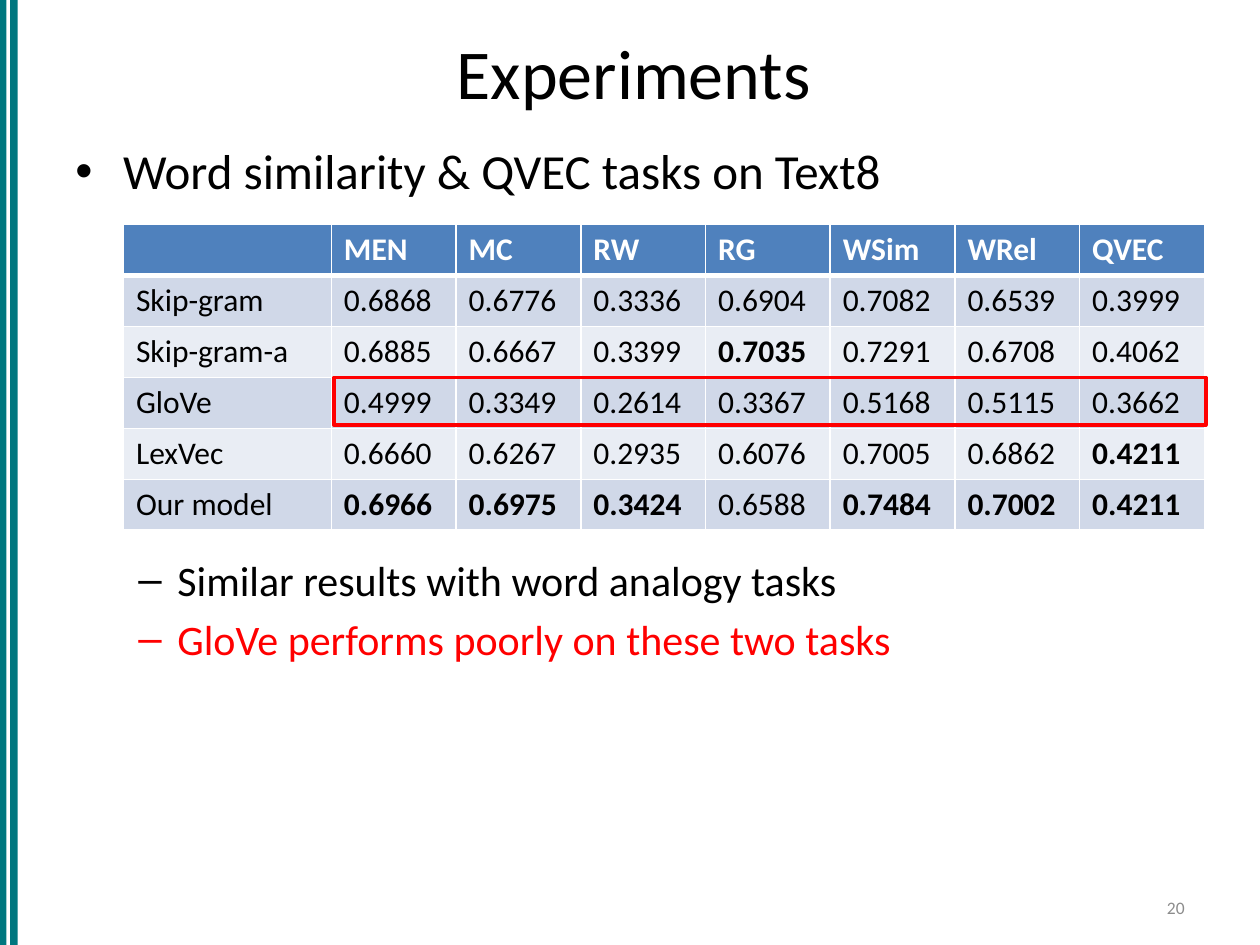
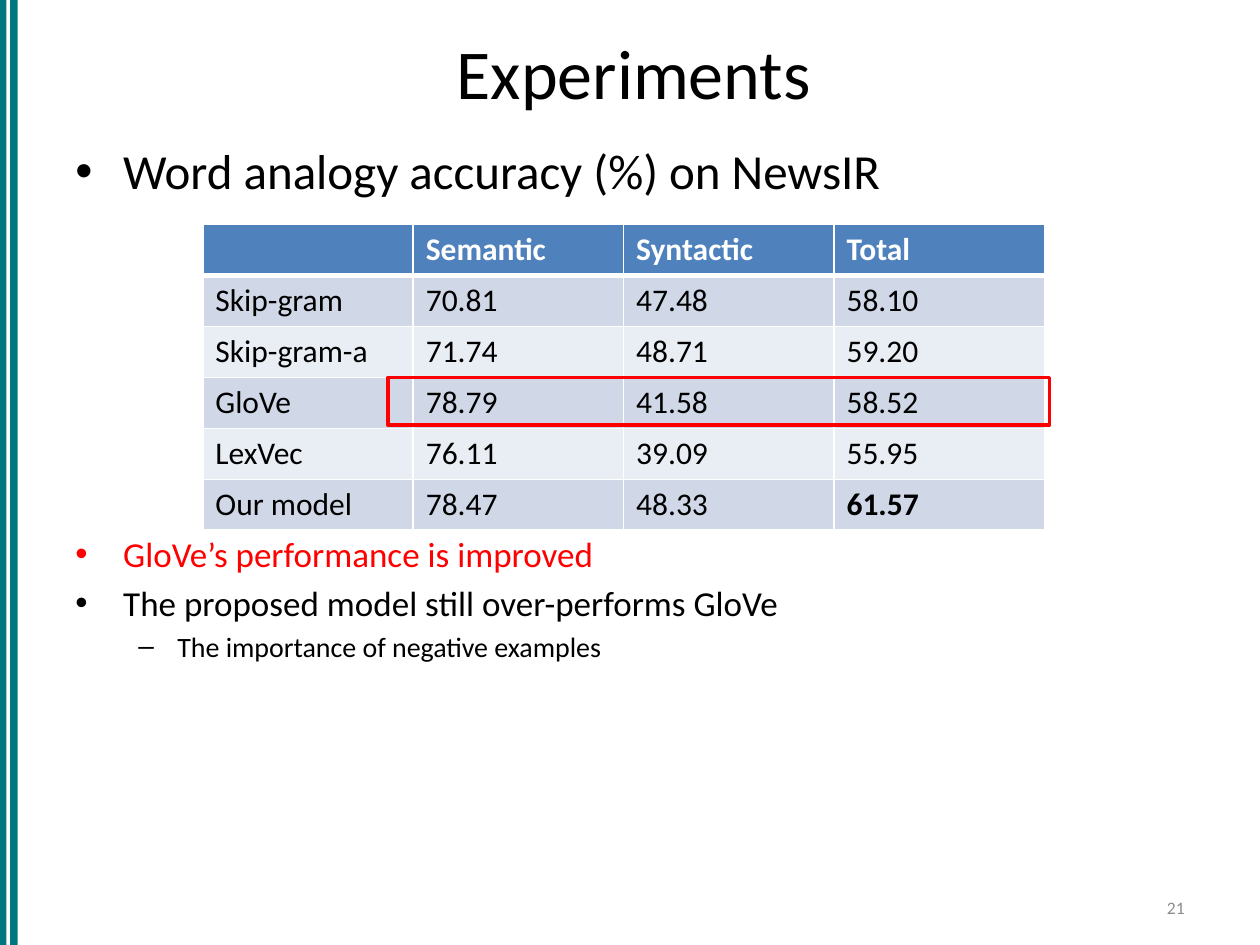
from dataclasses import dataclass
from lxml import etree
from pptx import Presentation
from pptx.dml.color import RGBColor
from pptx.enum.shapes import MSO_SHAPE
from pptx.enum.text import MSO_ANCHOR, PP_ALIGN
from pptx.oxml.ns import qn
from pptx.util import Inches, Pt

RECT = MSO_SHAPE.RECTANGLE
TOP, MID = MSO_ANCHOR.TOP, MSO_ANCHOR.MIDDLE
LEFT, MIDST, RIGHT = PP_ALIGN.LEFT, PP_ALIGN.CENTER, PP_ALIGN.RIGHT


@dataclass(frozen=True)
class Theme:
    face: str = "Calibri"
    ink: str = "000000"
    white: str = "FFFFFF"
    teal: str = "00777F"
    red: str = "FF0000"
    gray: str = "8C8C8C"
    head: str = "4F81BD"
    odd: str = "D0D8E8"
    even: str = "E9EDF4"
    title: int = 40
    lead: int = 28
    cell: int = 18
    foot: int = 10


T = Theme()
BANDS = [(0, 0.05), (0.08, 0.06)]
LEVELS = [("•", 0.38, 0.38), ("–", 0.81, 0.31)]
BODY_X, BODY_W = 0.5, 9.06
TABLE_Y, TABLE_H = 1.78, 2.43
FRAME_ROW = 3

# A trailing star sets a table value in bold.
SLIDES = [
    {
        "page": "20",
        "lead": "Word similarity & QVEC tasks on Text8",
        "left": 0.98,
        "cols": [1.65] + [0.99] * 7,
        "rows": [
            ["", "MEN", "MC", "RW", "RG", "WSim", "WRel", "QVEC"],
            ["Skip-gram", "0.6868", "0.6776", "0.3336", "0.6904", "0.7082", "0.6539", "0.3999"],
            ["Skip-gram-a", "0.6885", "0.6667", "0.3399", "0.7035*", "0.7291", "0.6708", "0.4062"],
            ["GloVe", "0.4999", "0.3349", "0.2614", "0.3367", "0.5168", "0.5115", "0.3662"],
            ["LexVec", "0.6660", "0.6267", "0.2935", "0.6076", "0.7005", "0.6862", "0.4211*"],
            ["Our model", "0.6966*", "0.6975*", "0.3424*", "0.6588", "0.7484*", "0.7002*", "0.4211*"],
        ],
        "frame": (2.65, 6.92),
        "notes_y": 4.35,
        "notes": [
            (1, 24, T.ink, "Similar results with word analogy tasks"),
            (1, 24, T.red, "GloVe performs poorly on these two tasks"),
        ],
    },
    {
        "page": "21",
        "lead": "Word analogy accuracy (%) on NewsIR",
        "left": 1.61,
        "cols": [1.67] * 4,
        "rows": [
            ["", "Semantic", "Syntactic", "Total"],
            ["Skip-gram", "70.81", "47.48", "58.10"],
            ["Skip-gram-a", "71.74", "48.71", "59.20"],
            ["GloVe", "78.79", "41.58", "58.52"],
            ["LexVec", "76.11", "39.09", "55.95"],
            ["Our model", "78.47", "48.33", "61.57*"],
        ],
        "frame": (3.08, 5.25),
        "notes_y": 4.18,
        "notes": [
            (0, 20, T.red, "GloVe’s performance is improved"),
            (0, 20, T.ink, "The proposed model still over-performs GloVe"),
            (1, 16, T.ink, "The importance of negative examples"),
        ],
    },
]


def rgb(tint):
    return RGBColor.from_string(tint)


def write(para, text, size, tint, bold=False, align=LEFT):
    para.alignment = align
    run = para.add_run()
    run.text = text
    look = {"name": T.face, "size": Pt(size), "bold": bold}
    for key, value in look.items():
        setattr(run.font, key, value)
    run.font.color.rgb = rgb(tint)


def add_box(slide, x, y, w, h, anchor=TOP):
    box = slide.shapes.add_textbox(Inches(x), Inches(y), Inches(w), Inches(h))
    frame = box.text_frame
    look = {"word_wrap": True, "vertical_anchor": anchor}
    for key, value in look.items():
        setattr(frame, key, value)
    return frame


def add_list(slide, y, h, items):
    frame = add_box(slide, BODY_X, y, BODY_W, h)
    for i, (level, size, tint, text) in enumerate(items):
        para = frame.add_paragraph() if i else frame.paragraphs[0]
        write(para, text, size, tint)
        para.level = level
        para.space_before = Pt(size * 0.2)
        mark, indent, hang = LEVELS[level]
        props = para._p.get_or_add_pPr()
        props.set("marL", str(Inches(indent)))
        props.set("indent", str(-Inches(hang)))
        etree.SubElement(props, qn("a:buFont")).set("typeface", "Arial")
        etree.SubElement(props, qn("a:buChar")).set("char", mark)


def add_rect(slide, x, y, w, h, fill=None, line=None):
    rect = slide.shapes.add_shape(RECT, Inches(x), Inches(y), Inches(w), Inches(h))
    rect.shadow.inherit = False
    if fill:
        rect.fill.solid()
        rect.fill.fore_color.rgb = rgb(fill)
    else:
        rect.fill.background()
    if line:
        rect.line.color.rgb = rgb(line)
        rect.line.width = Pt(2)
    else:
        rect.line.fill.background()


def add_edges(cell, widths):
    props = cell._tc.get_or_add_tcPr()
    for side, width in widths.items():
        edge = etree.SubElement(props, qn("a:ln" + side), w=str(Pt(width)))
        fill = etree.SubElement(edge, qn("a:solidFill"))
        etree.SubElement(fill, qn("a:srgbClr")).set("val", T.white)


def add_grid(slide, left, cols, rows):
    table = slide.shapes.add_table(
        len(rows), len(cols), Inches(left), Inches(TABLE_Y),
        Inches(sum(cols)), Inches(TABLE_H)).table
    for col, width in zip(table.columns, cols):
        col.width = Inches(width)
    for r, row in enumerate(rows):
        table.rows[r].height = Inches(TABLE_H / len(rows))
        fill = T.head if r == 0 else (T.even, T.odd)[r % 2]
        tint = T.ink if r else T.white
        edges = {"L": 1, "R": 1, "T": 3 if r == 1 else 1, "B": 1 if r else 3}
        for c, text in enumerate(row):
            cell = table.cell(r, c)
            add_edges(cell, edges)
            cell.fill.solid()
            cell.fill.fore_color.rgb = rgb(fill)
            bold = r == 0 or text.endswith("*")
            write(cell.text_frame.paragraphs[0], text.rstrip("*"), T.cell, tint, bold)


def add_base(slide, page):
    for x, w in BANDS:
        add_rect(slide, x, 0, w, 7.5, fill=T.teal)
    title = add_box(slide, BODY_X, 0.13, BODY_W, 0.87, MID)
    write(title.paragraphs[0], "Experiments", T.title, T.ink, align=MIDST)
    foot = add_box(slide, 7.17, 7.06, 2.33, 0.29, MID)
    write(foot.paragraphs[0], page, T.foot, T.gray, align=RIGHT)


def main():
    deck = Presentation()
    deck.slide_width, deck.slide_height = Inches(10), Inches(7.5)
    for item in SLIDES:
        slide = deck.slides.add_slide(deck.slide_layouts[6])
        add_base(slide, item["page"])
        add_list(slide, 1.07, 0.6, [(0, T.lead, T.ink, item["lead"])])
        add_list(slide, item["notes_y"], 1.3, item["notes"])
        add_grid(slide, item["left"], item["cols"], item["rows"])
        x, w = item["frame"]
        y = TABLE_Y + FRAME_ROW * TABLE_H / len(item["rows"])
        add_rect(slide, x, y, w, 0.38, line=T.red)
    deck.save("out.pptx")


if __name__ == "__main__":
    main()
